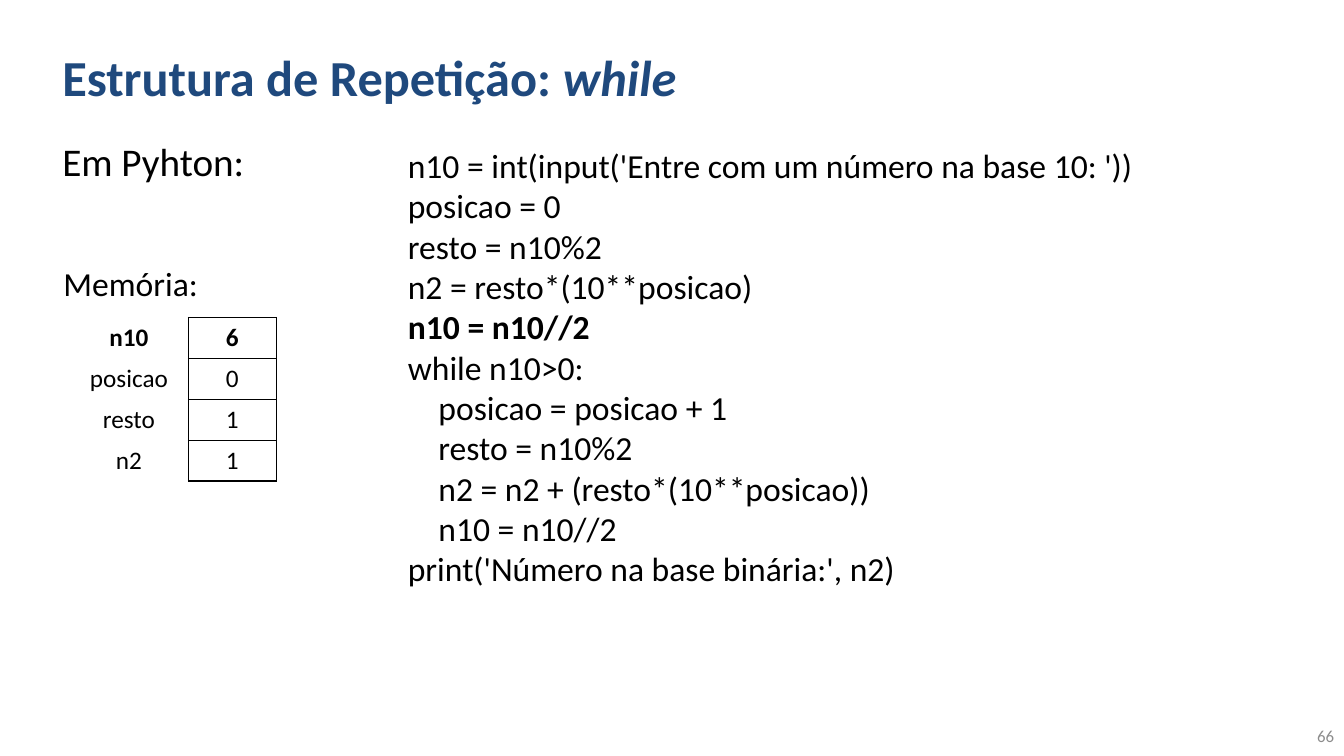
"""Build the slide on the while loop in Python, with its memory table."""
from lxml import etree
from pptx import Presentation
from pptx import util as u
from pptx.dml.color import RGBColor
from pptx.enum import text
from pptx.oxml.ns import qn

NAVY = RGBColor(0x1F, 0x49, 0x7D)
BLACK = RGBColor(0, 0, 0)
GREY = RGBColor(0x8C, 0x8C, 0x8C)
INDENT = u.Cm(0.77)
LEFT = 1.32

CODE = [
    (0, "n10 = int(input('Entre com um número na base 10: '))"),
    (0, "posicao = 0"),
    (0, "resto = n10%2"),
    (0, "n2 = resto*(10**posicao)"),
    (0, "n10 = n10//2"),
    (0, "while n10>0:"),
    (1, "posicao = posicao + 1"),
    (1, "resto = n10%2"),
    (1, "n2 = n2 + (resto*(10**posicao))"),
    (1, "n10 = n10//2"),
    (0, "print('Número na base binária:', n2)"),
]
CURRENT_LINE = 4
MEMORY = [("n10", "6"), ("posicao", "0"), ("resto", "1"), ("n2", "1")]


def style(para, size, color=BLACK, bold=False):
    para.font.name = "Calibri"
    para.font.size = u.Pt(size)
    para.font.color.rgb = color
    para.font.bold = bold


def add_box(left, top, width, height, anchor=text.MSO_ANCHOR.TOP, wrap=True):
    box = page.shapes.add_textbox(u.Cm(left), u.Cm(top), u.Cm(width), u.Cm(height))
    box.text_frame.word_wrap = wrap
    box.text_frame.vertical_anchor = anchor
    return box.text_frame


deck = Presentation()
deck.slide_width = u.Cm(33.87)
deck.slide_height = u.Cm(19.05)
page = deck.slides.add_slide(deck.slide_layouts[6])

title = add_box(LEFT, 0.33, 26.87, 3.18, text.MSO_ANCHOR.MIDDLE).paragraphs[0]
title.add_run().text = "Estrutura de Repetição: "
keyword = title.add_run()
keyword.text = "while"
keyword.font.italic = True
style(title, 36, NAVY, True)

subtitle = add_box(LEFT, 3.33, 7.42, 3.12).paragraphs[0]
subtitle.text = "Em Pyhton:"
style(subtitle, 28)

number = add_box(27.94, 18.03, 5.93, 1.02, text.MSO_ANCHOR.MIDDLE).paragraphs[0]
number.text = "66"
number.alignment = text.PP_ALIGN.RIGHT
style(number, 12, GREY)

code = add_box(10.03, 3.53, 19.28, 11.53, wrap=False)
for index, (level, line) in enumerate(CODE):
    para = code.add_paragraph() if index else code.paragraphs[0]
    para.text = line
    style(para, 24, bold=index == CURRENT_LINE)
    if level:
        para._p.get_or_add_pPr().set("marL", str(level * INDENT))

caption = add_box(1.35, 6.5, 3.94, 1.27, wrap=False).paragraphs[0]
caption.text = "Memória:"
style(caption, 24)

row_height = u.Cm(1.03)
memory = page.shapes.add_table(len(MEMORY), 2, u.Cm(1.75), u.Cm(8),
                               u.Cm(5.21), row_height * len(MEMORY)).table
memory.first_row = False
memory.horz_banding = False
memory.columns[0].width = u.Cm(3)
memory.columns[1].width = u.Cm(2.21)
for row, entry in enumerate(MEMORY):
    memory.rows[row].height = row_height
    for column, value in enumerate(entry):
        cell = memory.cell(row, column)
        cell.text = value
        para = cell.text_frame.paragraphs[0]
        para.alignment = text.PP_ALIGN.CENTER
        style(para, 18, bold=row == 0)
        properties = cell._tc.get_or_add_tcPr()
        for side in ("lnL", "lnR", "lnT", "lnB"):
            border = etree.SubElement(properties, qn("a:" + side), w=str(u.Pt(1)))
            if column == 1 or side == "lnR":
                fill = etree.SubElement(border, qn("a:solidFill"))
                etree.SubElement(fill, qn("a:srgbClr"), val=str(BLACK))
            else:
                etree.SubElement(border, qn("a:noFill"))
        cell.fill.background()

deck.save("out.pptx")
